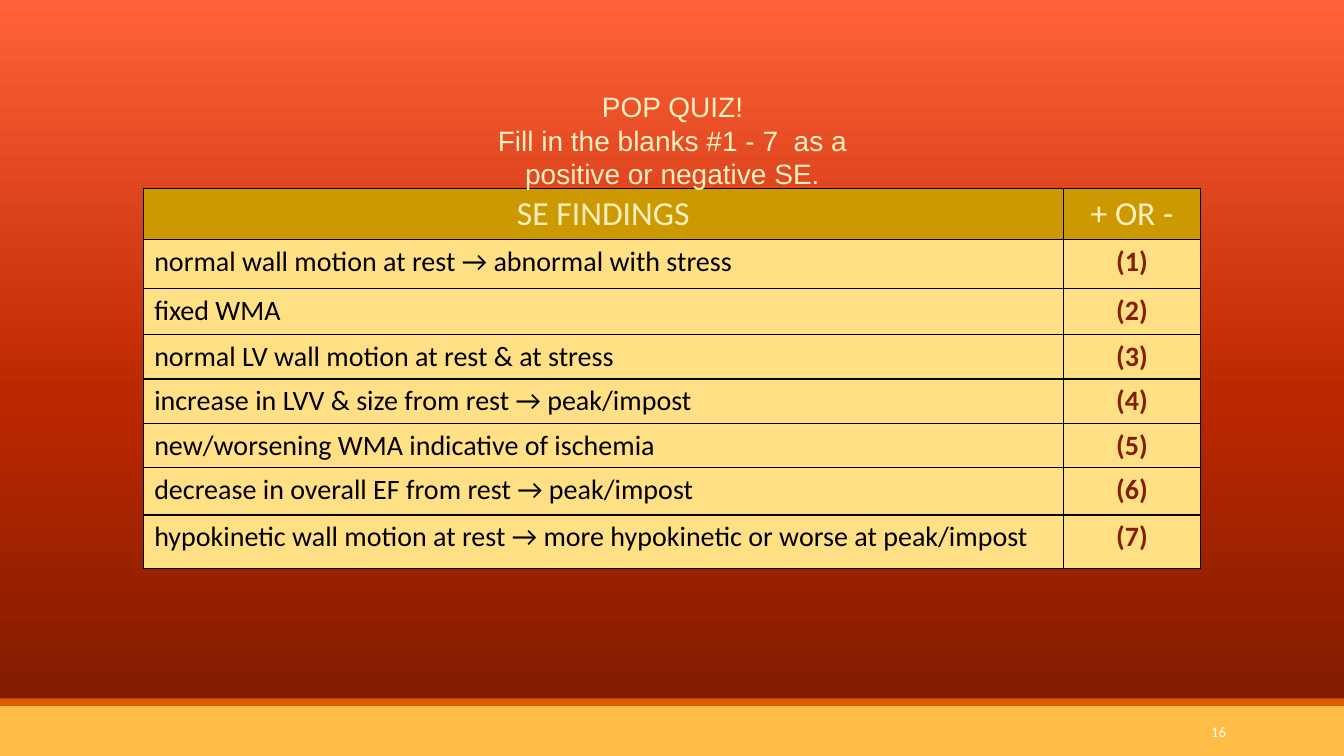
from copy import deepcopy
from dataclasses import dataclass

from lxml.etree import SubElement
from pptx import Presentation
from pptx.dml.color import RGBColor
from pptx.enum.shapes import MSO_SHAPE as Shape
from pptx.enum.text import MSO_ANCHOR as Anchor, PP_ALIGN as Align
from pptx.oxml.ns import qn
from pptx.util import Inches, Pt


@dataclass(frozen=True)
class Theme:
    gradient = ((0, "771900"), (0.48, "BC2800"), (1, "FF6238"))
    footer = "FFBD47"
    stripe = "DC5E00"
    header_fill = "CC9900"
    body_fill = "FFE085"
    border = "000000"
    border_width = Pt(1)
    title = dict(name="Arial", size=Pt(20), color="FFF0C2")
    header = dict(name="Calibri", size=Pt(24), color="FFF0C2", bold=False)
    finding = dict(name="Calibri", size=Pt(20), color="000000", bold=False)
    blank = dict(name="Calibri", size=Pt(20), color="851D00", bold=True)
    number = dict(name="Calibri", size=Pt(10.5), color="FFFFFF")


@dataclass(frozen=True)
class Box:
    left: float
    top: float
    width: float
    height: float

    def inches(self):
        return [Inches(n) for n in (self.left, self.top, self.width, self.height)]

    def share(self, left, top, width, height):
        return Box(self.left + left * self.width, self.top + top * self.height,
                   width * self.width, height * self.height)


THEME = Theme()
PAGE = Box(0, 0, 13.33, 7.5)
FINDINGS = (
    "normal wall motion at rest → abnormal with stress",
    "fixed WMA",
    "normal LV wall motion at rest & at stress",
    "increase in LVV & size from rest → peak/impost",
    "new/worsening WMA indicative of ischemia",
    "decrease in overall EF from rest → peak/impost",
    "hypokinetic wall motion at rest → more hypokinetic or worse at peak/impost",
)
ROW_HEIGHTS = (0.51, 0.48, 0.46, 0.44, 0.44, 0.44, 0.47, 0.53)
FINDING_SHARE = 0.87


def write(frame, lines, style, align):
    frame.word_wrap = True
    for index, line in enumerate(lines):
        para = frame.add_paragraph() if index else frame.paragraphs[0]
        para.alignment = align
        span = para.add_run()
        span.text = line
        for key, value in style.items():
            if key == "color":
                span.font.color.rgb = RGBColor.from_string(value)
            else:
                setattr(span.font, key, value)


def paint_background(slide):
    fill = slide.background.fill
    fill.gradient()
    fill.gradient_angle = 90
    stops = next(slide.element.iter(qn("a:gsLst")))
    stops.append(deepcopy(stops[0]))
    for stop, (position, color) in zip(fill.gradient_stops, THEME.gradient):
        stop.position = position
        stop.color.rgb = RGBColor.from_string(color)


def add_footer(slide, box):
    bands = ((box, THEME.footer), (box.share(0, -0.14, 1, 0.14), THEME.stripe))
    for band, color in bands:
        bar = slide.shapes.add_shape(Shape.RECTANGLE, *band.inches())
        bar.shadow.inherit = False
        bar.fill.solid()
        bar.fill.fore_color.rgb = RGBColor.from_string(color)
        bar.line.fill.background()
    number = slide.shapes.add_textbox(*box.share(0.8125, 0.12, 0.107, 0.8).inches())
    number.text_frame.vertical_anchor = Anchor.MIDDLE
    write(number.text_frame, ["16"], THEME.number, Align.RIGHT)


def add_borders(cell):
    properties = cell._tc.get_or_add_tcPr()
    for position, side in enumerate(("a:lnL", "a:lnR", "a:lnT", "a:lnB")):
        line = SubElement(properties, qn(side), w=str(THEME.border_width))
        properties.insert(position, line)
        fill = SubElement(line, qn("a:solidFill"))
        SubElement(fill, qn("a:srgbClr"), val=THEME.border)


def fill_cell(cell, text, style, align, color):
    margins = dict(left=0.11, top=0.05, right=0.11, bottom=0.05)
    for side, value in margins.items():
        setattr(cell, f"margin_{side}", Inches(value))
    cell.fill.solid()
    cell.fill.fore_color.rgb = RGBColor.from_string(color)
    write(cell.text_frame, [text], style, align)
    add_borders(cell)


def add_quiz_table(slide, box):
    table = slide.shapes.add_table(len(ROW_HEIGHTS), 2, *box.inches()).table
    table.first_row = table.horz_banding = False
    for column, share in zip(table.columns, (FINDING_SHARE, 1 - FINDING_SHARE)):
        column.width = Inches(box.width * share)
    for row, height in zip(table.rows, ROW_HEIGHTS):
        row.height = Inches(height)
    for column, text in enumerate(("SE FINDINGS", "+ OR -")):
        fill_cell(table.cell(0, column), text, THEME.header, Align.CENTER, THEME.header_fill)
    for row, finding in enumerate(FINDINGS, 1):
        fill_cell(table.cell(row, 0), finding, THEME.finding, Align.LEFT, THEME.body_fill)
        fill_cell(table.cell(row, 1), f"({row})", THEME.blank, Align.CENTER, THEME.body_fill)


def add_title(slide, box):
    title = slide.shapes.add_textbox(*box.inches())
    lines = ["POP QUIZ!", "Fill in the blanks #1 - 7  as a positive or negative SE."]
    write(title.text_frame, lines, THEME.title, Align.CENTER)


def add_quiz_slide(deck, box):
    slide = deck.slides.add_slide(deck.slide_layouts[6])
    paint_background(slide)
    add_footer(slide, box.share(0, 14 / 15, 1, 1 / 15))
    add_quiz_table(slide, Box(1.42, 1.87, 10.49, sum(ROW_HEIGHTS)))
    add_title(slide, Box(4.38, 0.84, 4.58, 0.77))


def main():
    deck = Presentation()
    deck.slide_width, deck.slide_height = PAGE.inches()[2:]
    add_quiz_slide(deck, PAGE)
    deck.save("out.pptx")


if __name__ == "__main__":
    main()
